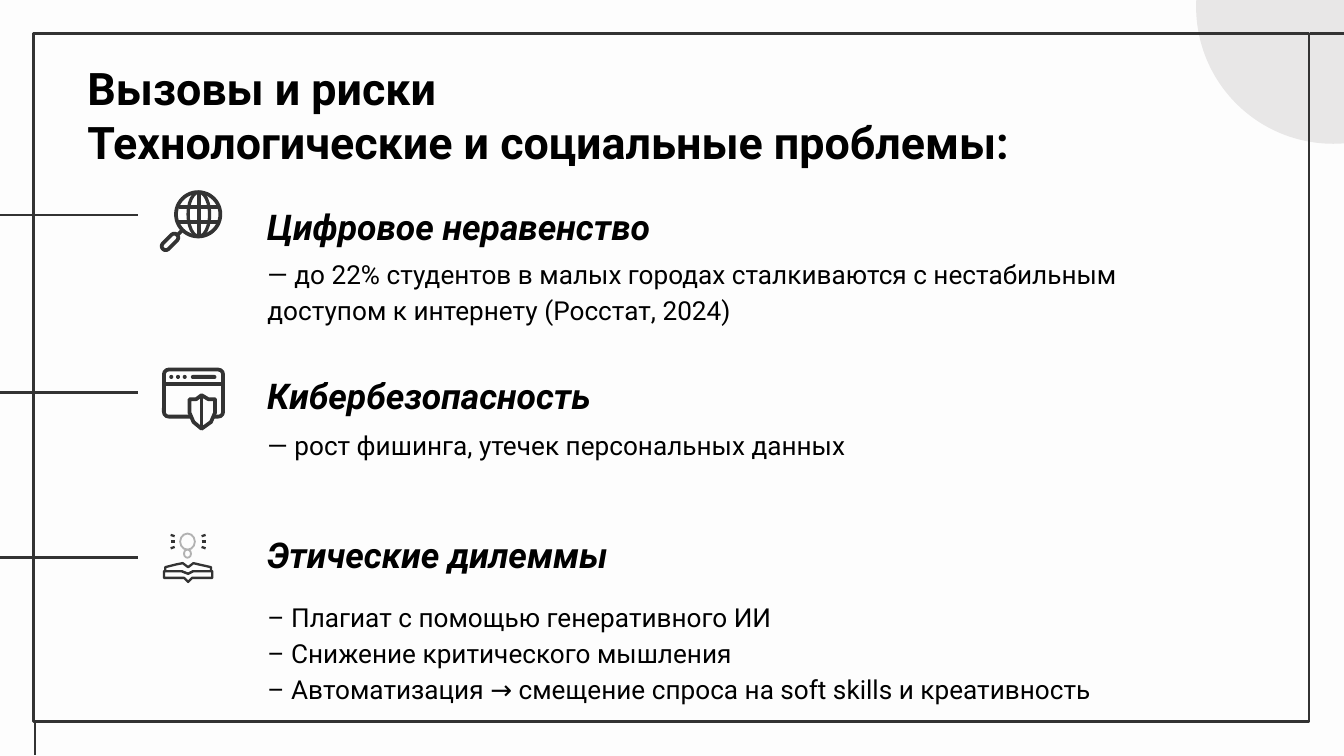
"""Build the slide on technological and social risks."""
from typing import NamedTuple

from pptx import Presentation
from pptx import util as u
from pptx.dml.color import RGBColor
from pptx.enum import shapes as sh, text as tx
from pptx.oxml import ns, xmlchemy as xc

HUES = {"page": "FDFDFD", "ink": "333333", "text": "000000", "disc": "E8E7E7", "glow": "B2B2B2"}
KIND = sh.MSO_SHAPE


class Topic(NamedTuple):
    head: str
    lines: list[str]
    head_y: float
    body_y: float
    tall: float
    rule_y: float


class Form(NamedTuple):
    kind: sh.MSO_SHAPE
    box: tuple[float, float, float, float]
    fill: str | None = None
    line: str | None = "ink"
    width: float = 1.5
    turn: float = 0


class Stroke(NamedTuple):
    start: tuple[float, float]
    end: tuple[float, float]
    width: float = 1.5


TOPICS = [
    Topic("Цифровое неравенство",
          ["— до 22% студентов в малых городах сталкиваются с нестабильным "
           "доступом к интернету (Росстат, 2024)"], 1.36, 1.79, 0.58, 1.6),
    Topic("Кибербезопасность",
          ["— рост фишинга, утечек персональных данных"], 2.62, 3.06, 0.58, 2.92),
    Topic("Этические дилеммы",
          ["– Плагиат с помощью генеративного ИИ",
           "– Снижение критического мышления",
           "– Автоматизация → смещение спроса на soft skills и креативность"],
          3.8, 4.34, 0.98, 4.15),
]

FRAME = [Form(KIND.OVAL, (8.9, -0.97, 2.04, 2.04), "disc", None),
         Form(KIND.RECTANGLE, (0.25, 0.25, 9.49, 5.12))]
EDGES = [Stroke((9.75, 0.25), (10, 0.25)), Stroke((0.26, 5.38), (0.26, 5.62))]

GLOBE = [Form(KIND.OVAL, (1.31, 1.43, 0.33, 0.33), width=2),
         Form(KIND.OVAL, (1.4, 1.43, 0.16, 0.33), width=1.75),
         Stroke((1.48, 1.43), (1.48, 1.76), 2),
         Stroke((1.33, 1.54), (1.63, 1.54), 2),
         Stroke((1.33, 1.65), (1.63, 1.65), 2),
         Stroke((1.31, 1.76), (1.36, 1.71), 2),
         Form(KIND.ROUNDED_RECTANGLE, (1.19, 1.77, 0.15, 0.06), width=2, turn=-45)]

PANE = [Form(KIND.ROUNDED_RECTANGLE, (1.22, 2.75, 0.44, 0.35), width=2),
        Stroke((1.22, 2.86), (1.66, 2.86), 2),
        *[Form(KIND.OVAL, (1.26 + 0.05 * i, 2.79, 0.03, 0.03), "ink", None) for i in range(3)],
        Form(KIND.ROUNDED_RECTANGLE, (1.42, 2.79, 0.19, 0.03), "ink", None)]
SHIELD = [(1.41, 2.97), (1.46, 2.97), (1.5, 2.94), (1.55, 2.97), (1.6, 2.97),
          (1.6, 3.07), (1.57, 3.14), (1.5, 3.19), (1.44, 3.14), (1.41, 3.07)]

LAMP = [Form(KIND.OVAL, (1.34, 3.97, 0.11, 0.12), None, "glow", 1),
        Form(KIND.ROUNDED_RECTANGLE, (1.37, 4.09, 0.05, 0.06), "page", "glow", 1)]
RAYS = [Stroke((1.4 + s * 0.1, 4.03 + d * 0.04), (1.4 + s * 0.13, 4.03 + d * 0.05), 1.25)
        for s in (-1, 1) for d in (-1, 0, 1)]
PAGES = [(1.4, 4.22), (1.36, 4.19), (1.31, 4.2), (1.23, 4.22), (1.23, 4.25), (1.35, 4.25),
         (1.4, 4.27), (1.44, 4.25), (1.57, 4.25), (1.57, 4.22), (1.48, 4.2), (1.44, 4.19)]
COVER = [(1.22, 4.25), (1.35, 4.25), (1.4, 4.27), (1.44, 4.25), (1.58, 4.25),
         (1.58, 4.3), (1.43, 4.3), (1.4, 4.33), (1.37, 4.3), (1.22, 4.3)]


def tint(name: str) -> RGBColor:
    """Return a named colour."""
    return RGBColor.from_string(HUES[name])


def paint(shape, fill: str | None, line: str | None, width: float) -> None:
    """Set the fill and outline of a shape."""
    shape.shadow.inherit = False
    if fill:
        shape.fill.solid()
        shape.fill.fore_color.rgb = tint(fill)
    else:
        shape.fill.background()
    if line:
        shape.line.color.rgb = tint(line)
        shape.line.width = u.Pt(width)
    else:
        shape.line.fill.background()


def draw(slide, part: Form | Stroke) -> None:
    """Draw one preset shape or one line."""
    if isinstance(part, Form):
        shape = slide.shapes.add_shape(part.kind, *map(u.Inches, part.box))
        paint(shape, part.fill, part.line, part.width)
        shape.rotation = part.turn
        if part.kind == KIND.ROUNDED_RECTANGLE:
            shape.adjustments[0] = 0.5 if part.box[3] < 0.1 else 0.1
        return
    line = slide.shapes.add_connector(
        sh.MSO_CONNECTOR.STRAIGHT, *map(u.Inches, (*part.start, *part.end)))
    line.line.color.rgb = tint("ink")
    line.line.width = u.Pt(part.width)
    line._element.spPr.append(xc.OxmlElement("a:effectLst"))


def trace(slide, dots: list[tuple[float, float]], width: float) -> None:
    """Draw a closed outline through the given points."""
    first, *rest = [(u.Inches(x), u.Inches(y)) for x, y in dots]
    pen = slide.shapes.build_freeform(*first)
    pen.add_line_segments(rest, close=True)
    paint(pen.convert_to_shape(), "page", "ink", width)


def write(shape, box: tuple[float, float, float, float], lines: list[str], size: float,
          bold: bool = False, slant: bool = False, low: bool = False, lead: float = 1.15) -> None:
    """Place a text shape and format its paragraphs."""
    shape.left, shape.top, shape.width, shape.height = map(u.Inches, box)
    frame = shape.text_frame
    frame.word_wrap = True
    frame.auto_size = tx.MSO_AUTO_SIZE.NONE
    frame.vertical_anchor = tx.MSO_ANCHOR.BOTTOM if low else tx.MSO_ANCHOR.TOP
    frame.margin_left = frame.margin_right = u.Inches(0.1)
    frame.margin_top = frame.margin_bottom = u.Inches(0.1)
    frame.text = "\n".join(lines)
    for para in frame.paragraphs:
        para.alignment = tx.PP_ALIGN.LEFT
        para.line_spacing = lead
        para.space_before = para.space_after = u.Pt(0)
        props = para._p.get_or_add_pPr()
        props.set("marL", "0")
        props.set("indent", "0")
        if props.find(ns.qn("a:buNone")) is None:
            props.append(xc.OxmlElement("a:buNone"))
        for run in para.runs:
            font = run.font
            font.name, font.size = "Roboto", u.Pt(size)
            font.bold, font.italic = bold, slant
            font.color.rgb = tint("text")


def main() -> None:
    """Compose and save the slide."""
    deck = Presentation()
    deck.slide_width, deck.slide_height = u.Inches(10), u.Inches(10 * 9 / 16)
    slide = deck.slides.add_slide(deck.slide_layouts[4])
    slide.background.fill.solid()
    slide.background.fill.fore_color.rgb = tint("page")

    title, *slots, spare = slide.placeholders
    spare._element.getparent().remove(spare._element)
    rules = [Stroke((0, t.rule_y), (1.03, t.rule_y)) for t in TOPICS]
    for part in FRAME + EDGES + rules:
        draw(slide, part)

    write(title, (0.55, 0.35, 9.22, 0.91),
          ["Вызовы и риски \vТехнологические и социальные проблемы:"], 24, bold=True, lead=1.0)
    for topic, slot in zip(TOPICS, slots):
        write(slot, (1.89, topic.body_y, 7.23, topic.tall), topic.lines, 14)
        head = slide.shapes.add_textbox(0, 0, 0, 0)
        write(head, (1.89, topic.head_y, 7.23, 0.58), [topic.head], 19,
              bold=True, slant=True, low=True)

    for part in GLOBE + PANE + LAMP + RAYS:
        draw(slide, part)
    trace(slide, SHIELD, 2)
    draw(slide, Stroke((1.5, 2.95), (1.5, 3.18), 2))
    trace(slide, PAGES, 1.25)
    trace(slide, COVER, 1.25)
    deck.save("out.pptx")


if __name__ == "__main__":
    main()
